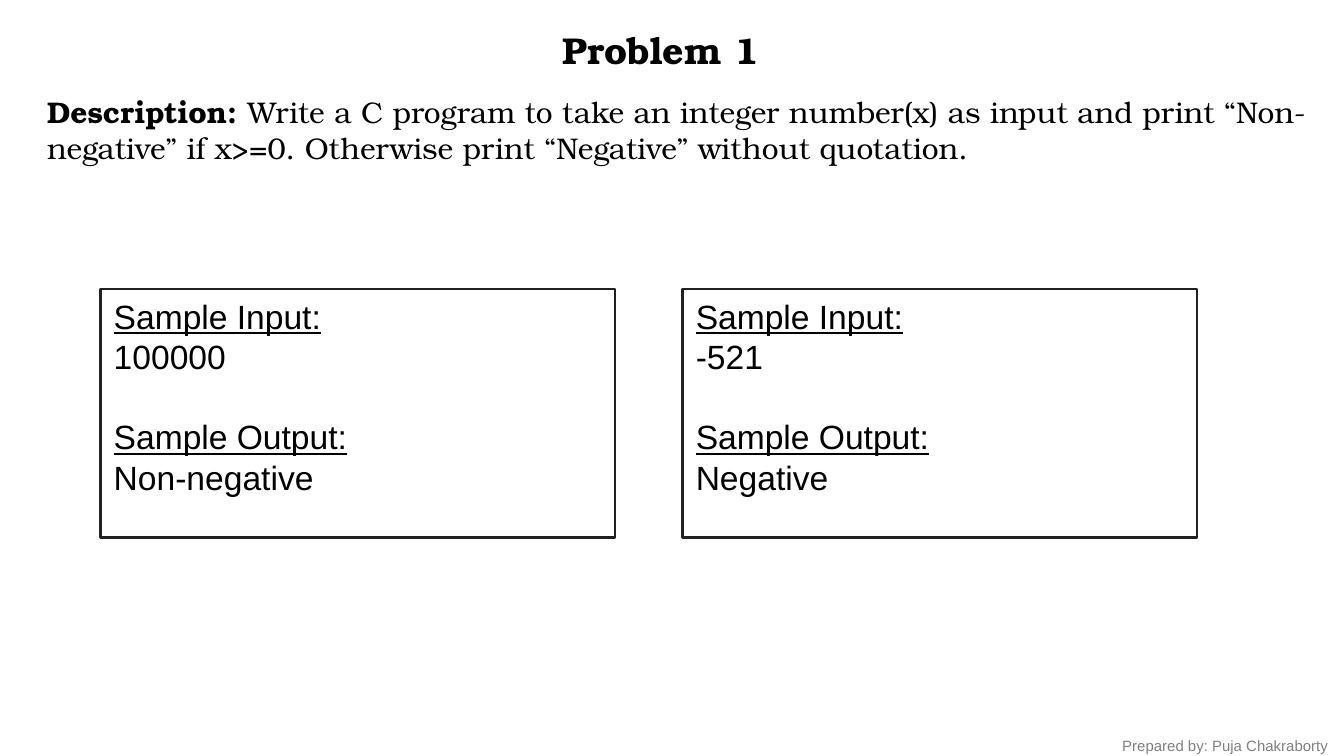
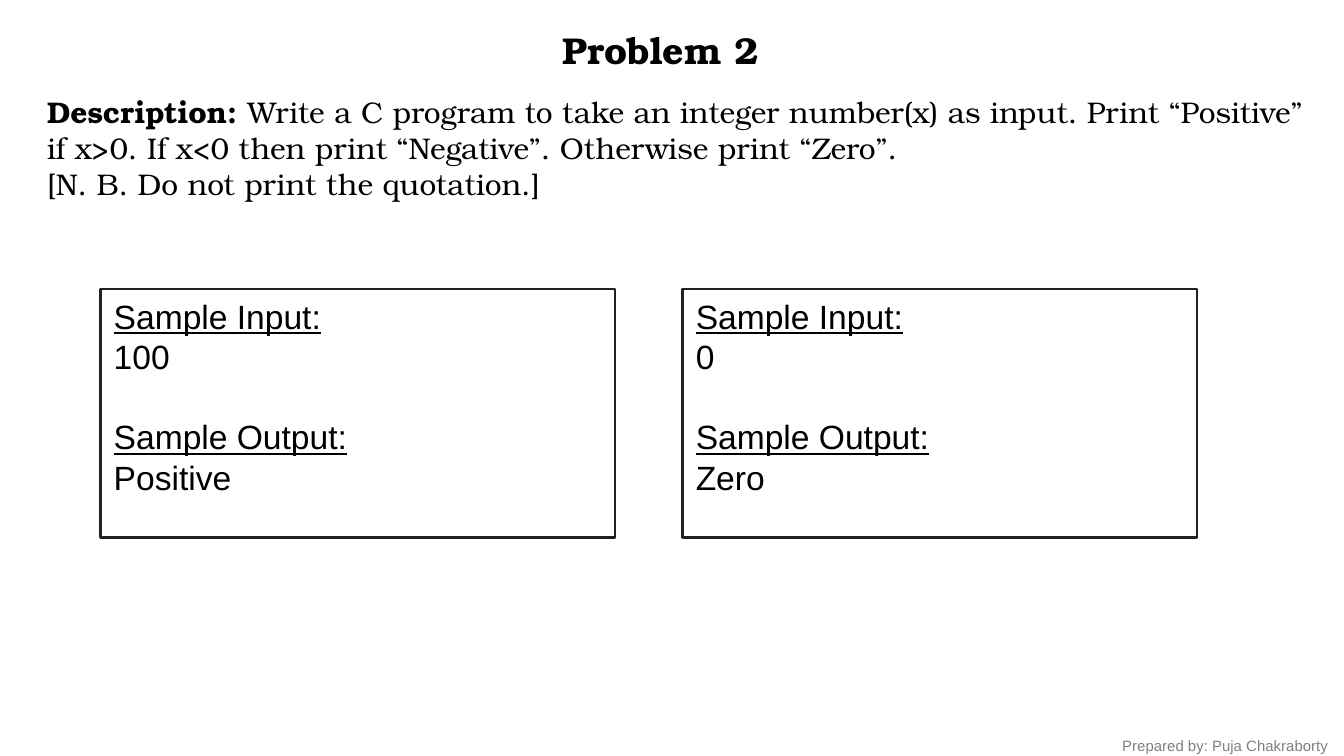
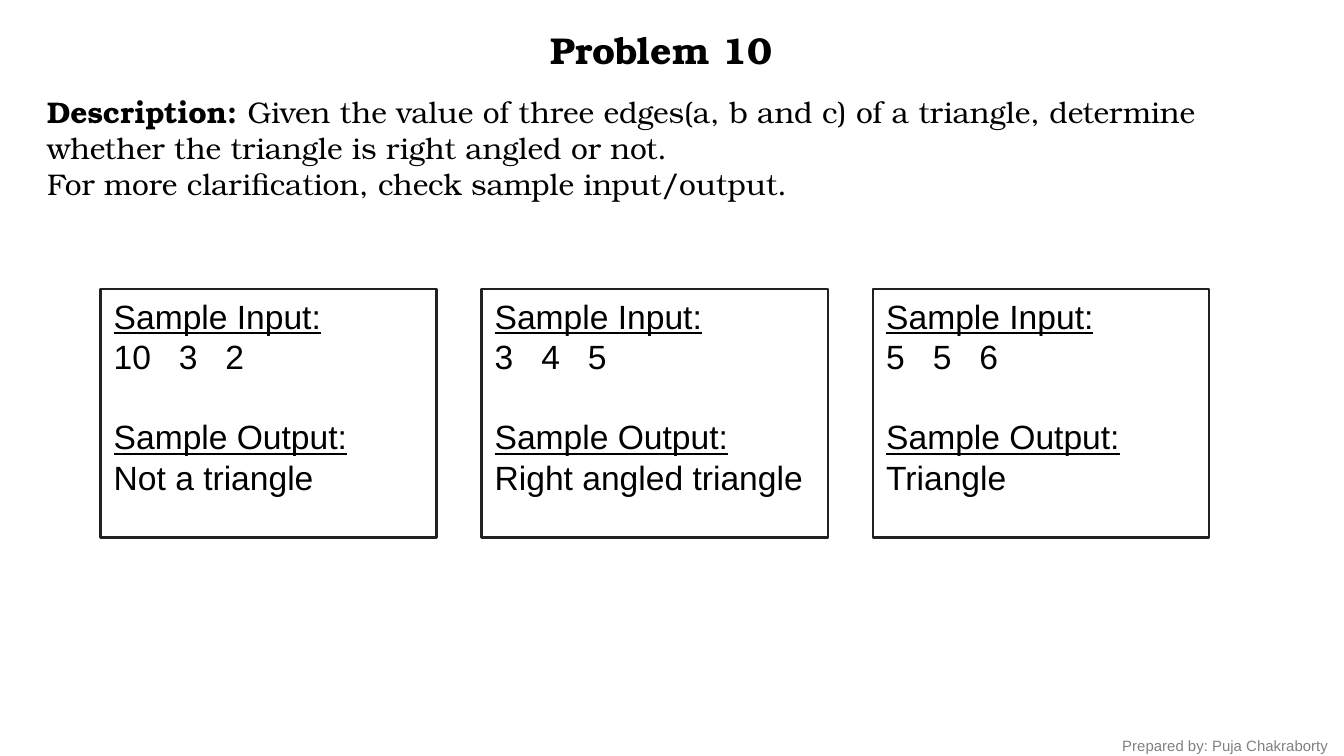
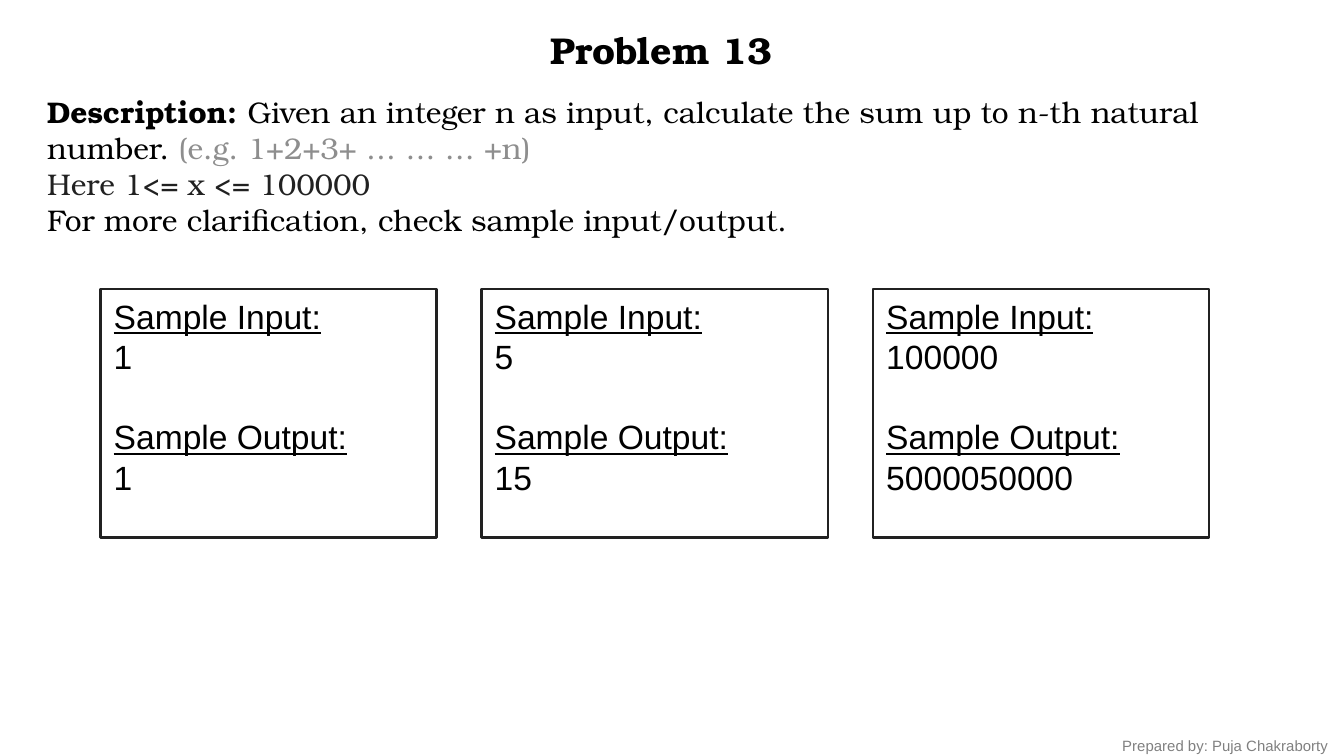
"""Build the four programming-problem slides and save them as out.pptx."""
from lxml import etree
from pptx import Presentation
from pptx import util as u
from pptx.dml.color import RGBColor
from pptx.enum import shapes, text
from pptx.oxml import ns

COLOURS = {"ink": "000000", "dark": "212121", "aside": "8E8E8E", "credit": "808080"}
SERIF, SANS = "TeX Gyre Bonum", "Arial"
LINE_PITCH = u.Pt(21.6)
DIGIT_WIDTH, NUMBER_GAP = 0.35, 0.53
LAYOUTS = {2: ((9.73, 9.73), 1.27), 3: ((6.35, 6.55, 6.35), 0.85)}
CLARIFICATION = [("For more clarification, check sample input/output.", "ink")]

PROBLEMS = [
    (1,
     [[("Write a C program to take an integer number(x) as input and print “Non-negative” "
        "if x>=0. Otherwise print “Negative” without quotation.", "ink")]],
     1.63,
     [("100000", "Non-negative"), ("-521", "Negative")]),
    (2,
     [[("Write a C program to take an integer number(x) as input. Print “Positive” if x>0. "
        "If x<0 then print “Negative”. Otherwise print “Zero”.", "ink")],
      [("[N. B. Do not print the quotation.]", "ink")]],
     2.31,
     [("100", "Positive"), ("0", "Zero")]),
    (10,
     [[("Given the value of three edges(a, b and c) of a triangle, determine whether "
        "the triangle is right angled or not.", "ink")],
      CLARIFICATION],
     3.0,
     [("10\t3\t2", "Not a triangle"), ("3\t4\t5", "Right angled triangle"),
      ("5\t5\t6", "Triangle")]),
    (13,
     [[("Given an integer n as input, calculate the sum up to n-th natural number. ", "ink"),
       ("(e.g. 1+2+3+ … … … +n)", "aside")],
      [("Here 1<= x <= 100000", "dark")],
      CLARIFICATION],
     3.68,
     [("1", "1"), ("5", "15"), ("100000", "5000050000")]),
]


class ProblemDeck:
    """Hold the shared style and the current slide."""

    def __init__(self):
        self.deck = Presentation()
        self.deck.slide_width, self.deck.slide_height = u.Cm(25.4), u.Cm(14.29)
        self.slide = None

    def new_slide(self):
        self.slide = self.deck.slides.add_slide(self.deck.slide_layouts[6])

    def colour(self, name):
        return RGBColor.from_string(COLOURS[name])

    def style(self, paragraph, face, size, colour=None, **flags):
        font = paragraph.font
        font.name, font.size = face, u.Pt(size)
        if colour:
            font.color.rgb = self.colour(colour)
        for flag, value in flags.items():
            setattr(font, flag, value)

    def text_frame(self, left, top, width, height):
        frame = self.slide.shapes.add_textbox(*map(u.Cm, (left, top, width, height))).text_frame
        frame.word_wrap = True
        frame.auto_size = text.MSO_AUTO_SIZE.SHAPE_TO_FIT_TEXT
        return frame

    def title(self, number):
        heading = self.text_frame(5.51, 0.38, 13.97, 1.12).paragraphs[0]
        heading.text = f"Problem {number}"
        heading.alignment = text.PP_ALIGN.CENTER
        self.style(heading, SERIF, 20, "ink", bold=True)

    def description(self, lines, height):
        frame = self.text_frame(0.64, 1.65, 24.33, height)
        for index, parts in enumerate(lines):
            line = frame.add_paragraph() if index else frame.paragraphs[0]
            self.style(line, SERIF, 16)
            label = [] if index else [("Description: ", "ink")]
            for words, colour in label + parts:
                run = line.add_run()
                run.text = words
                run.font.color.rgb = self.colour(colour)
                run.font.bold = (words, colour) in label
            
    def credit(self):
        author = self.text_frame(20.96, 13.79, 4.65, 0.61).paragraphs[0]
        author.text = "Prepared by: Puja Chakraborty"
        self.style(author, SANS, 8, "credit")

    def number_stops(self, paragraph, numbers):
        stops = etree.SubElement(paragraph._p.get_or_add_pPr(), ns.qn("a:tabLst"))
        position = 0
        for number in numbers[:-1]:
            position += len(number) * DIGIT_WIDTH + NUMBER_GAP
            etree.SubElement(stops, ns.qn("a:tab"), pos=str(u.Cm(position)), algn="l")

    def sample(self, left, width, given, result):
        card = self.slide.shapes.add_shape(
            shapes.MSO_SHAPE.RECTANGLE, *map(u.Cm, (left, 5.46, width, 4.7)))
        card.shadow.inherit = False
        card.fill.background()
        card.line.color.rgb = self.colour("dark")
        card.line.width = u.Pt(1.25)
        frame = card.text_frame
        frame.word_wrap = True
        frame.vertical_anchor = text.MSO_ANCHOR.TOP
        lines = ("Sample Input:", given, "Sample Output:", result)
        for index, words in enumerate(lines):
            line = frame.add_paragraph() if index else frame.paragraphs[0]
            line.text = words
            line.alignment = text.PP_ALIGN.LEFT
            line.line_spacing = LINE_PITCH
            if index == 2:
                line.space_before = LINE_PITCH
            if "\t" in words:
                self.number_stops(line, words.split("\t"))
            self.style(line, SANS, 18, "ink", underline=index % 2 == 0)

    def samples(self, cases):
        widths, gap = LAYOUTS[len(cases)]
        left = 1.9
        for width, (given, result) in zip(widths, cases):
            self.sample(left, width, given, result)
            left += width + gap


def main():
    problems = ProblemDeck()
    for number, lines, height, cases in PROBLEMS:
        problems.new_slide()
        problems.title(number)
        problems.description(lines, height)
        problems.credit()
        problems.samples(cases)
    problems.deck.save("out.pptx")


if __name__ == "__main__":
    main()
